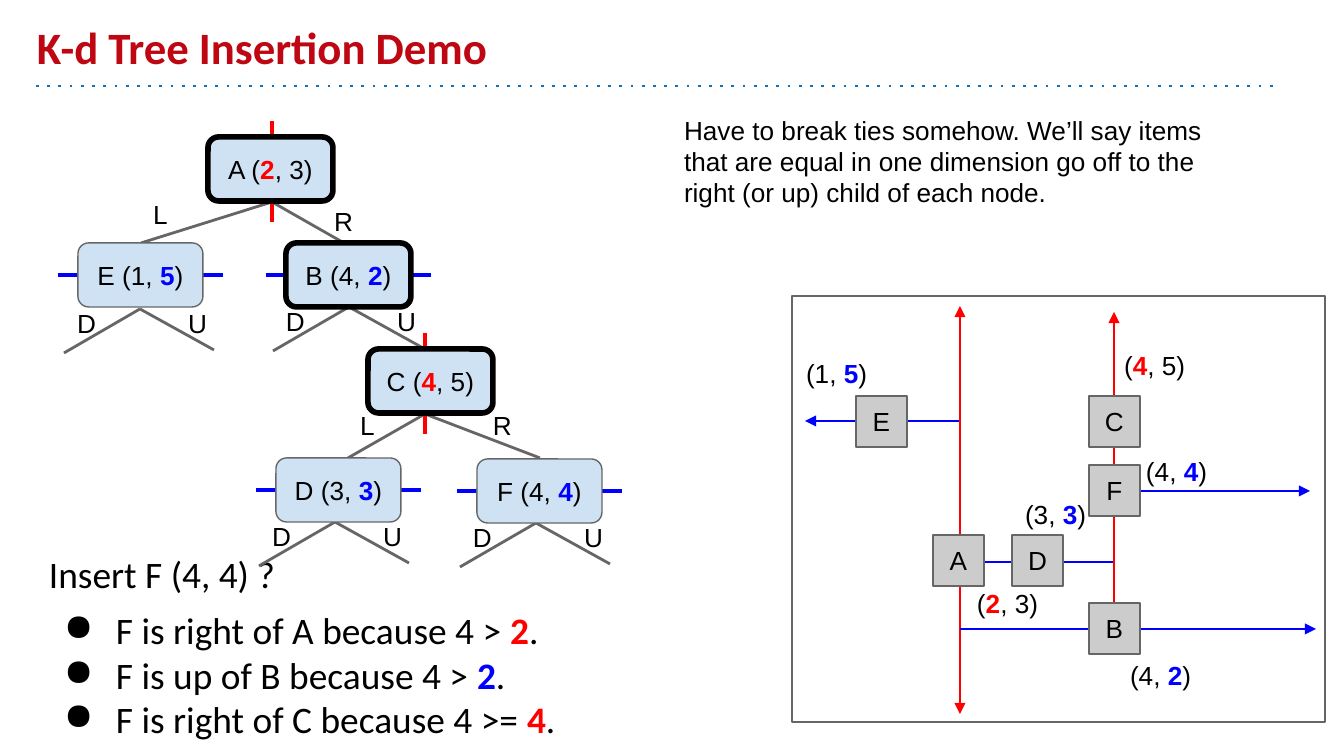
from dataclasses import dataclass

from lxml.etree import SubElement
from pptx import Presentation
from pptx.dml.color import RGBColor
from pptx.enum.shapes import MSO_CONNECTOR, MSO_SHAPE
from pptx.enum.text import MSO_ANCHOR, PP_ALIGN
from pptx.oxml.ns import qn
from pptx.util import Emu, Pt

SCALE = 914400 / 134.4
INSET = 13
NODE_WIDTH, NODE_HEIGHT = 125, 64
BLOCK = 51

TITLE_RED = RGBColor(0xBE, 0x07, 0x12)
RULE_BLUE = RGBColor(0x10, 0x72, 0xBD)
RED = RGBColor(0xFF, 0x00, 0x00)
BLUE = RGBColor(0x00, 0x00, 0xFF)
BLACK = RGBColor(0x00, 0x00, 0x00)
GRAY = RGBColor(0x66, 0x66, 0x66)
NODE_FILL = RGBColor(0xCF, 0xE2, 0xF3)
BLOCK_FILL = RGBColor(0xCC, 0xCC, 0xCC)


@dataclass
class Node:
    """A tree node; fork offsets are measured from the apex."""
    name: str
    point: str
    left: int
    top: int
    accent: RGBColor
    apex: tuple
    visited: bool = False
    branches: tuple = ((-76, 44), (74, 41))
    labels: tuple = (("D", -76, -15), ("U", 35, -15))


# The coordinate each node splits on stands between bars.
NODES = [
    Node("A", "(|2|, 3)", 208, 137, RED, (272, 202), True,
         ((-131, 41), (72, 41)), (("L", -132, -17), ("R", 49, -10))),
    Node("B", "(4, |2|)", 286, 243, BLUE, (349, 307), True),
    Node("C", "(|4|, 5)", 368, 349, RED, (425, 414), True,
         ((-77, 44), (115, 44)), (("L", -78, -18), ("R", 55, -18))),
    Node("D", "(3, |3|)", 276, 458, BLUE, (335, 522)),
    Node("E", "(1, |5|)", 78, 243, BLUE, (140, 309)),
    Node("F", "(4, |4|)", 477, 459, BLUE, (536, 523)),
]

# Map square and point label: left and top of each.
MAP_PLACES = {
    "A": ((933, 535), (964, 574)),
    "B": ((1089, 603), (1117, 646)),
    "C": ((1089, 396), (1111, 336)),
    "D": ((1012, 535), (1012, 485)),
    "E": ((856, 396), (793, 344)),
    "F": ((1089, 465), (1133, 442)),
}

# Start, end, colour and arrow ends of each dividing line on the map.
MAP_LINES = [
    ((1115, 491), (1310, 491), BLUE, ("tailEnd",)),
    ((960, 421), (805, 421), BLUE, ("tailEnd",)),
    ((1115, 562), (954, 562), BLUE, ()),
    ((960, 306), (960, 714), RED, ("headEnd", "tailEnd")),
    ((960, 629), (1316, 629), BLUE, ("tailEnd",)),
    ((1114, 603), (1114, 312), RED, ("tailEnd",)),
]

REASONS = [
    ("F is right of A because 4 > |2|.", RED),
    ("F is up of B because 4 > |2|.", BLUE),
    ("F is right of C because 4 >= |4|.", RED),
]


def px(value):
    """Turn pixels into EMU."""
    return Emu(round(value * SCALE))


def write(paragraph, text, size=14, font="Arial", color=BLACK, bold=False,
          accent=BLACK):
    """Write text, with the part between bars bold in the accent colour."""
    for index, part in enumerate(text.split("|")):
        marked = index % 2 == 1
        run = paragraph.add_run()
        run.text = part
        run.font.size = Pt(size)
        run.font.name = font
        run.font.bold = bold or marked
        run.font.color.rgb = accent if marked else color


def prepare_frame(shape, anchor):
    """Set wrapping, insets and anchor, and return the text frame."""
    frame = shape.text_frame
    frame.word_wrap = True
    frame.vertical_anchor = anchor
    frame.margin_left = frame.margin_right = px(INSET)
    frame.margin_top = frame.margin_bottom = px(INSET)
    return frame


def add_text(slide, left, top, width, height, text="",
             anchor=MSO_ANCHOR.TOP, **style):
    """Add a text box and return its frame."""
    box = slide.shapes.add_textbox(px(left), px(top), px(width), px(height))
    frame = prepare_frame(box, anchor)
    if text:
        write(frame.paragraphs[0], text, **style)
    return frame


def add_box(slide, left, top, width, height, text="", kind=MSO_SHAPE.RECTANGLE,
            fill=None, line=GRAY, weight=0.75, **style):
    """Add an outlined shape with centred text."""
    shape = slide.shapes.add_shape(kind, px(left), px(top), px(width), px(height))
    shape.shadow.inherit = False
    if fill is None:
        shape.fill.background()
    else:
        shape.fill.solid()
        shape.fill.fore_color.rgb = fill
    shape.line.color.rgb = line
    shape.line.width = Pt(weight)
    if text:
        paragraph = prepare_frame(shape, MSO_ANCHOR.MIDDLE).paragraphs[0]
        paragraph.alignment = PP_ALIGN.CENTER
        write(paragraph, text, **style)


def add_line(slide, start, end, color, weight=1.5, arrows=(), dash=None):
    """Add a straight line, with optional dash and triangle arrowheads."""
    line = slide.shapes.add_connector(
        MSO_CONNECTOR.STRAIGHT, *map(px, start + end))
    line.line.color.rgb = color
    line.line.width = Pt(weight)
    properties = line._element.spPr
    outline = properties.find(qn("a:ln"))
    if dash:
        SubElement(outline, qn("a:prstDash"), val=dash)
    for arrow in arrows:
        SubElement(outline, qn(f"a:{arrow}"), type="triangle")
    SubElement(properties, qn("a:effectLst"))


def add_bullet(frame, text, accent):
    """Add a bulleted paragraph with a hanging indent."""
    paragraph = frame.add_paragraph()
    properties = paragraph._p.get_or_add_pPr()
    properties.set("marL", str(px(67)))
    properties.set("indent", str(px(-52)))
    SubElement(properties, qn("a:buChar"), char="●")
    write(paragraph, text, size=20, font="Calibri", accent=accent)
    return paragraph


def add_explanation(slide):
    """Add the insertion question and its reasons."""
    frame = add_text(slide, 36, 538, 722, 183, "Insert F (4, 4) ?",
                     size=20, font="Calibri")
    frame.paragraphs[0].space_before = Pt(6)
    bullets = [add_bullet(frame, *reason) for reason in REASONS]
    for index, bullet in enumerate(bullets):
        bullet.space_before = Pt(0 if index else 6)


def add_fork(slide, node):
    """Add the split mark, branches and branch labels of a node."""
    if node.accent == RED:
        middle = node.apex[0]
        start, end = (middle, node.top - 16), (middle, node.top + 85)
    else:
        middle = node.top + NODE_HEIGHT // 2
        start, end = (node.left - 20, middle), (node.left + 145, middle)
    add_line(slide, start, end, node.accent, 2.25)
    x, y = node.apex
    for across, down in node.branches:
        add_line(slide, node.apex, (x + across, y + down), GRAY)
    for letter, across, down in node.labels:
        add_text(slide, x + across, y + down, 77, 44, letter)


def add_tree(slide):
    """Add all forks, then the nodes on top of them."""
    for node in NODES:
        add_fork(slide, node)
    for node in NODES:
        add_box(slide, node.left, node.top, NODE_WIDTH, NODE_HEIGHT,
                f"{node.name} {node.point}", kind=MSO_SHAPE.ROUNDED_RECTANGLE,
                fill=NODE_FILL, line=BLACK if node.visited else GRAY,
                weight=3 if node.visited else 0.75, accent=node.accent)


def add_map(slide):
    """Add the plane with its dividing lines and points."""
    add_box(slide, 792, 296, 533, 426)
    for start, end, color, arrows in MAP_LINES:
        add_line(slide, start, end, color, arrows=arrows)
    for node in NODES:
        block, label = MAP_PLACES[node.name]
        add_box(slide, *block, BLOCK, BLOCK, node.name, fill=BLOCK_FILL)
        add_text(slide, *label, 106, 42, node.point, accent=node.accent)


def main():
    """Build and save the slide."""
    presentation = Presentation()
    presentation.slide_width, presentation.slide_height = px(1344), px(756)
    slide = presentation.slides.add_slide(presentation.slide_layouts[6])
    add_line(slide, (36, 86), (1277, 86), RULE_BLUE, dash="dot")
    add_text(slide, 24, 13, 1210, 73, "K-d Tree Insertion Demo",
             anchor=MSO_ANCHOR.BOTTOM, size=24, font="Calibri",
             color=TITLE_RED, bold=True)
    add_explanation(slide)
    add_map(slide)
    add_tree(slide)
    add_text(slide, 671, 101, 546, 161,
             "Have to break ties somehow. We’ll say items that are equal in one "
             "dimension go off to the right (or up) child of each node.")
    presentation.save("out.pptx")


main()
